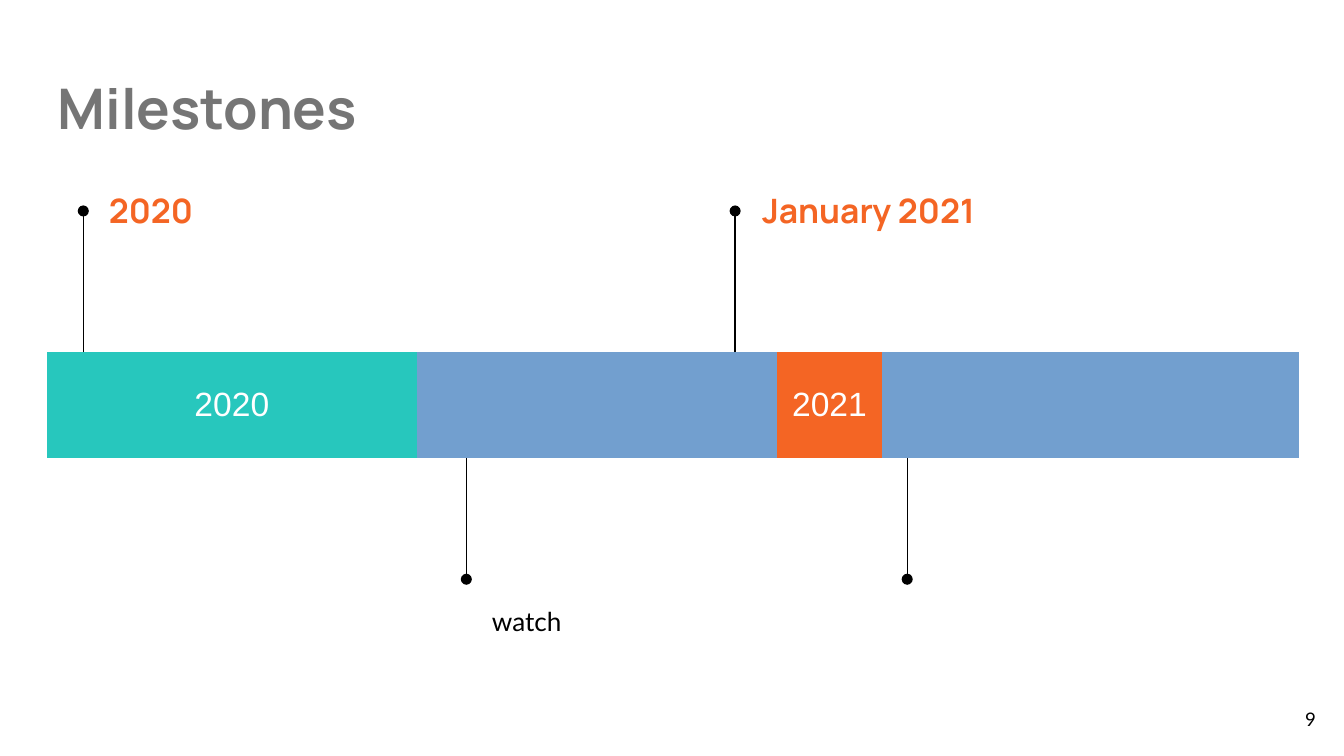
from lxml.etree import SubElement
from pptx import Presentation
from pptx.dml.color import RGBColor
from pptx.enum.shapes import MSO_CONNECTOR
from pptx.enum.text import MSO_ANCHOR, MSO_AUTO_SIZE, PP_ALIGN
from pptx.oxml.ns import qn
from pptx.util import Inches, Pt

BLACK = RGBColor(0x00, 0x00, 0x00)
WHITE = RGBColor(0xFF, 0xFF, 0xFF)
GRAY = RGBColor(0x75, 0x75, 0x75)
TEAL = RGBColor(0x27, 0xC7, 0xBD)
ORANGE = RGBColor(0xF4, 0x65, 0x24)
NO_GRID_STYLE = "{2D5ABB26-0587-4C30-8999-92F81FD0307C}"

# Timeline: twelve months, two of them with a width of their own
MONTHS = 12
SPECIAL_WIDTHS = {3: 0.42, 4: 1.13}
# Years: first month, last month, text, fill
YEARS = [(0, 3, "2020", TEAL), (4, 11, "2021", ORANGE)]
HEADING = dict(font="Manrope", size=18, color=ORANGE, bold=True)


def write_text(frame, text, *, font, size, color, bold=False,
               align=PP_ALIGN.LEFT, line_spacing=1.0, space_after=0):
    para = frame.paragraphs[0]
    para.alignment = align
    para.line_spacing = line_spacing
    para.space_before = Pt(0)
    para.space_after = Pt(space_after)
    span = para.add_run()
    span.text = text
    span.font.name = font
    span.font.size = Pt(size)
    span.font.bold = bold
    span.font.color.rgb = color
    return para


def set_margins(holder):
    holder.margin_left = holder.margin_right = Inches(0.1)
    holder.margin_top = holder.margin_bottom = Inches(0.1)


def place_text(shape, box, text, anchor=MSO_ANCHOR.MIDDLE, **style):
    """Move a text shape to its box and fill it with plain, unbulleted text."""
    shape.left, shape.top, shape.width, shape.height = map(Inches, box)
    frame = shape.text_frame
    frame.word_wrap = True
    frame.auto_size = MSO_AUTO_SIZE.NONE
    frame.vertical_anchor = anchor
    set_margins(frame)
    para = write_text(frame, text, **style)
    properties = para._p.get_or_add_pPr()
    properties.set("marL", "0")
    properties.set("indent", "0")
    SubElement(properties, qn("a:buNone"))


def add_timeline(slide, box):
    graphic = slide.shapes.add_table(1, MONTHS, *map(Inches, box))
    table = graphic.table
    table.first_row = table.horz_banding = False
    for style_id in graphic.element.iter(qn("a:tableStyleId")):
        style_id.text = NO_GRID_STYLE

    # Month columns share what the special ones leave
    regular = ((box[2] - sum(SPECIAL_WIDTHS.values()))
               / (MONTHS - len(SPECIAL_WIDTHS)))
    for index, column in enumerate(table.columns):
        column.width = Inches(SPECIAL_WIDTHS.get(index, regular))

    # Each year is one merged cell
    for first, last, text, fill in YEARS:
        cell = table.cell(0, first)
        cell.merge(table.cell(0, last))
        cell.fill.solid()
        cell.fill.fore_color.rgb = fill
        cell.vertical_anchor = MSO_ANCHOR.MIDDLE
        set_margins(cell)
        write_text(cell.text_frame, text, font="Arial", size=18,
                   color=WHITE, align=PP_ALIGN.CENTER)


def add_marker(slide, x, start, length):
    """Draw a vertical line from the timeline edge to a round end."""
    line = slide.shapes.add_connector(
        MSO_CONNECTOR.STRAIGHT, Inches(x), Inches(start),
        Inches(x), Inches(start + length))
    line.line.color.rgb = BLACK
    line.line.width = Pt(0.75)
    SubElement(line.line._get_or_add_ln(), qn("a:tailEnd"), type="oval")
    SubElement(line.element.spPr, qn("a:effectLst"))


def build_milestones(deck, box):
    left, top, width, height = box
    slide = deck.slides.add_slide(deck.slide_layouts[4])
    holders = {holder.placeholder_format.idx: holder
               for holder in slide.placeholders}

    # Title
    place_text(holders[0], (left + 0.33, top + 0.45, width - 0.68, 0.7),
               "Milestones", MSO_ANCHOR.TOP,
               font="Manrope", size=30, color=GRAY, bold=True)

    # Timeline bar
    bar_top, bar_height = top + 2.62, 0.79
    add_timeline(slide, (left + 0.35, bar_top, width - 0.68, bar_height))

    # Markers above and below the bar
    for x in (0.62, 5.47):
        add_marker(slide, left + x, bar_top, -1.05)
    for x in (3.47, 6.75):
        add_marker(slide, left + x, bar_top + bar_height, 0.9)

    # Milestone labels
    for index, x, text in ((1, 0.71, "2020"), (3, 5.57, "January 2021")):
        place_text(holders[index], (left + x, top + 1.35, 2.55, 0.43),
                   text, **HEADING)
    place_text(holders[2], (left + 3.56, top + 4.37, 2.53, 0.63), "watch",
               MSO_ANCHOR.TOP, font="Lato", size=14, color=BLACK,
               line_spacing=1.15, space_after=16)

    # Unused placeholder
    unused = holders[4].element
    unused.getparent().remove(unused)

    # Page number
    number = slide.shapes.add_textbox(0, 0, 0, 0)
    place_text(number, (left + width - 0.71, top + height - 0.49, 0.6, 0.43),
               "9", font="Lato", size=10, color=BLACK, align=PP_ALIGN.RIGHT)


def main():
    deck = Presentation()
    deck.slide_width = Inches(10)
    deck.slide_height = deck.slide_width * 9 // 16
    build_milestones(deck, (0, 0, 10, 10 * 9 / 16))
    deck.save("out.pptx")


if __name__ == "__main__":
    main()
